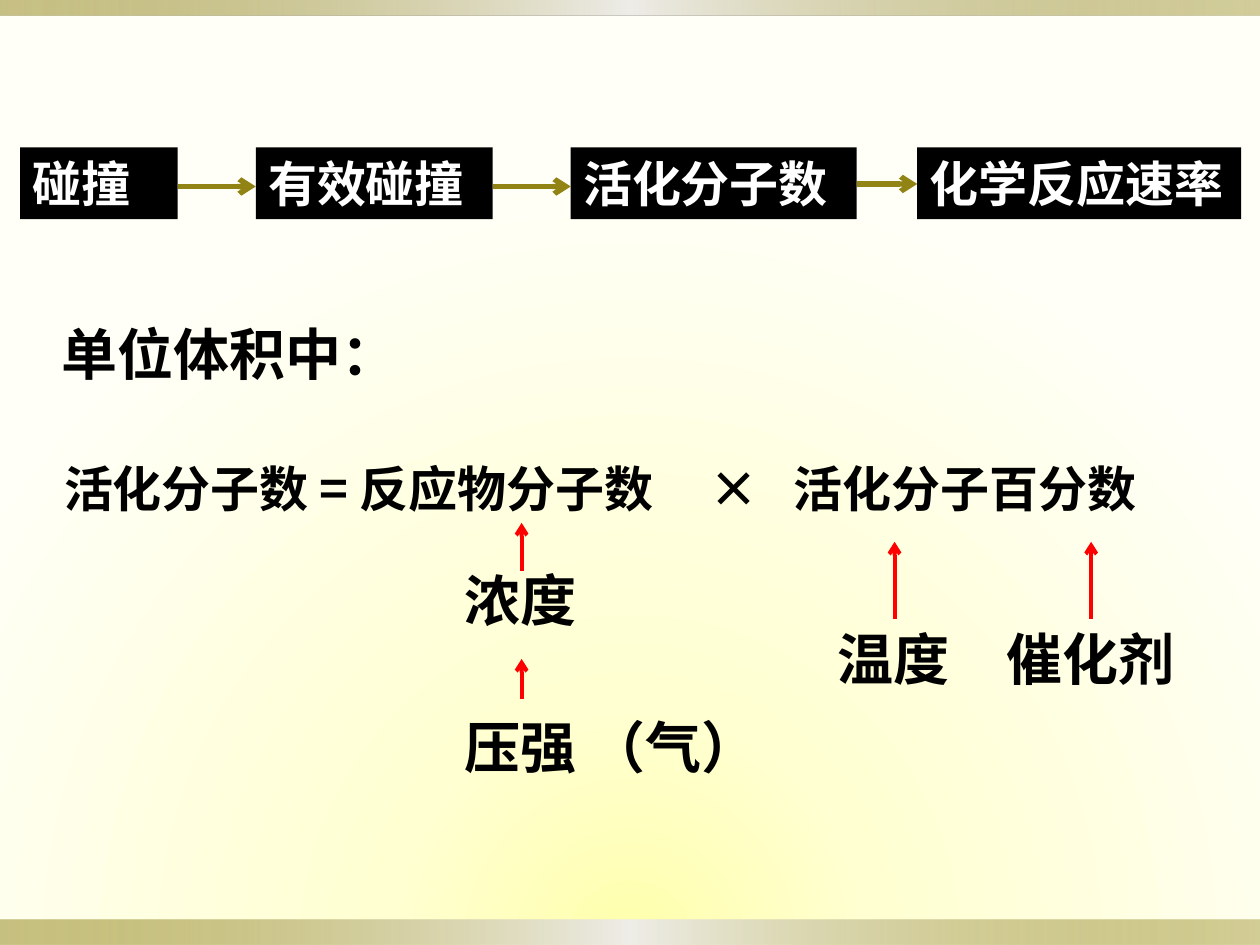
from pptx import Presentation
from pptx import util as u
from pptx.dml.color import RGBColor
from pptx.enum import shapes, text
from pptx.oxml import parse_xml
from pptx.oxml.ns import nsdecls, qn

BLACK = RGBColor(0x00, 0x00, 0x00)
WHITE = RGBColor(0xFF, 0xFF, 0xFF)
OLIVE = RGBColor(0x91, 0x84, 0x15)
PALE = RGBColor(0xEE, 0xED, 0xE8)
RED = RGBColor(0xFF, 0x00, 0x00)
GLOW = RGBColor(0xFF, 0xFF, 0xAC)
CREAM = RGBColor(0xFF, 0xFF, 0xD2)
IVORY = RGBColor(0xFF, 0xFF, 0xF7)
LATIN, CJK = "Calibri", "Noto Sans CJK SC"

prs = Presentation()
prs.slide_width, prs.slide_height = u.Inches(10), u.Inches(7.5)
COL, ROW = prs.slide_width / 100, prs.slide_height / 75


def place(x, y, w, h):
    return [round(v) for v in (x * COL, y * ROW, w * COL, h * ROW)]


def gradient(stops, direction):
    gs = "".join(
        f'<a:gs pos="{pos * 1000}"><a:srgbClr val="{color}">'
        f'<a:alpha val="{alpha * 1000}"/></a:srgbClr></a:gs>'
        for pos, color, alpha in stops)
    return parse_xml(f'<a:gradFill {nsdecls("a")} rotWithShape="1">'
                     f'<a:gsLst>{gs}</a:gsLst>{direction}</a:gradFill>')


def swap_solid(parent, grad):
    parent.replace(parent.find(qn("a:solidFill")), grad)


def add_rect(s, box, color):
    sp = s.shapes.add_shape(shapes.MSO_SHAPE.RECTANGLE, *place(*box))
    sp.shadow.inherit = False
    sp.fill.solid()
    sp.fill.fore_color.rgb = color
    sp.line.fill.background()
    return sp


def write(sp, words, size, color, font=LATIN, tabs=()):
    tf = sp.text_frame
    tf.word_wrap = True
    tf.vertical_anchor = text.MSO_ANCHOR.TOP
    p = tf.paragraphs[0]
    p.alignment = text.PP_ALIGN.LEFT
    if tabs:
        stops = "".join(f'<a:tab pos="{round(t * COL)}" algn="l"/>' for t in tabs)
        p._p.get_or_add_pPr().append(
            parse_xml(f'<a:tabLst {nsdecls("a")}>{stops}</a:tabLst>'))
    r = p.add_run()
    r.text = words
    r.font.size, r.font.bold, r.font.name = u.Pt(size), True, font
    r.font.color.rgb = color
    r.font._element.find(qn("a:latin")).addnext(
        parse_xml(f'<a:ea {nsdecls("a")} typeface="{CJK}"/>'))


def add_label(s, box, words, size=32, font=LATIN, tabs=()):
    write(s.shapes.add_textbox(*place(*box)), words, size, BLACK, font, tabs)


def add_arrow(s, start, end, color, width):
    ends = place(*start, *end)
    c = s.shapes.add_connector(shapes.MSO_CONNECTOR.STRAIGHT, *ends)
    c.line.color.rgb, c.line.width = color, u.Pt(width)
    c.line._get_or_add_ln().append(
        parse_xml(f'<a:tailEnd {nsdecls("a")} type="arrow"/>'))
    c._element.spPr.append(parse_xml(f'<a:effectLst {nsdecls("a")}/>'))


def backdrop(s, box):
    x, y, w, h = box
    s.background.fill.solid()
    swap_solid(s._element.cSld.find(qn("p:bg")).find(qn("p:bgPr")), gradient(
        [(0, GLOW, 100), (31, CREAM, 100), (100, IVORY, 100)],
        '<a:path path="circle"><a:fillToRect l="50000" t="150000" r="50000" b="0"/></a:path>'))
    for top, height in ((y + h - 2, 2), (y, 1.2)):
        bar = add_rect(s, (x, top, w, height), OLIVE)
        swap_solid(bar._element.spPr, gradient(
            [(0, OLIVE, 50), (50, PALE, 100), (100, OLIVE, 40)],
            '<a:lin ang="0" scaled="1"/>'))


def flow_row(s, box):
    x, y, w, h = box
    steps = [("碰撞", 0, 12.5, LATIN), ("有效碰撞", 18.7, 18.8, LATIN),
             ("活化分子数", 43.7, 22.7, CJK), ("化学反应速率", 71.2, w - 71.2, LATIN)]
    for words, left, width, font in steps:
        write(add_rect(s, (x + left, y, width, h), BLACK), words, 28, WHITE, font)
    drops = (3.1, 3.1, 2.9)
    for (_, left, width, _), following, drop in zip(steps, steps[1:], drops):
        add_arrow(s, (x + left + width, y + drop), (x + following[1], y + drop), OLIVE, 3)


def equation(s, box):
    x, y, w, h = box
    add_label(s, (x, y, 39.8, 6.4), "单位体积中：")
    add_label(s, (x + 0.2, y + 11, w - 0.2, h - 11),
              "活化分子数 = 反应物分子数\t×\t活化分子百分数", 28, CJK, (51.2, 57.9))


def factors(s, box):
    x, y, w, h = box
    for words, left, top, width, tip, rise, length in (
            ("浓度", 0, 2.9, 11, 5.5, 0, 3.8),
            ("压强 （气）", 0, 14.6, 25.8, 5.5, 10.8, 3.2),
            ("温度", 29.6, 7.6, 11, 35.1, 1.5, 6.1),
            ("催化剂", 43, 7.6, w - 43, 50.7, 1.5, 6.1)):
        add_label(s, (x + left, y + top, width, 6.4), words)
        add_arrow(s, (x + tip, y + rise + length), (x + tip, y + rise), RED, 2.25)


def main():
    s = prs.slides.add_slide(prs.slide_layouts[6])
    backdrop(s, (0, 0, 100, 75))
    flow_row(s, (1.6, 11.7, 96.9, 5.7))
    equation(s, (3.9, 24.9, 93, 16.7))
    factors(s, (35.9, 41.5, 58.5, 21))
    prs.save("out.pptx")


if __name__ == "__main__":
    main()
